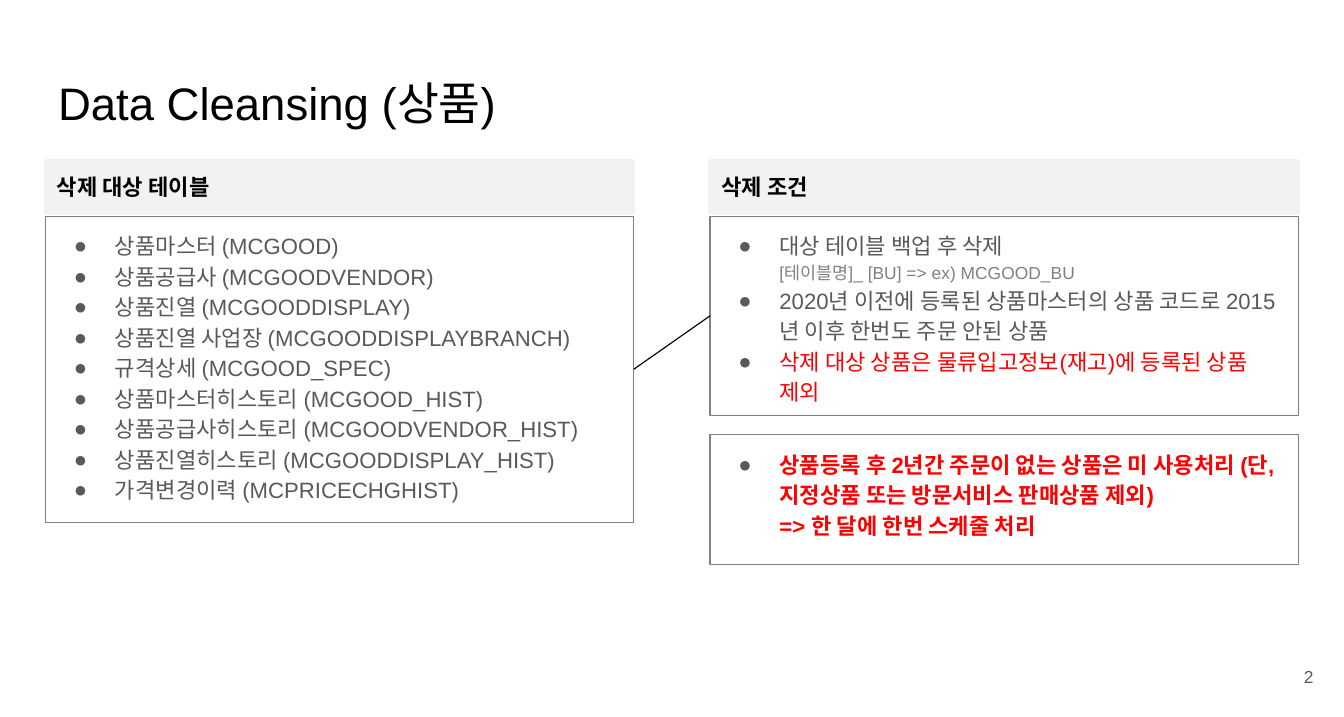
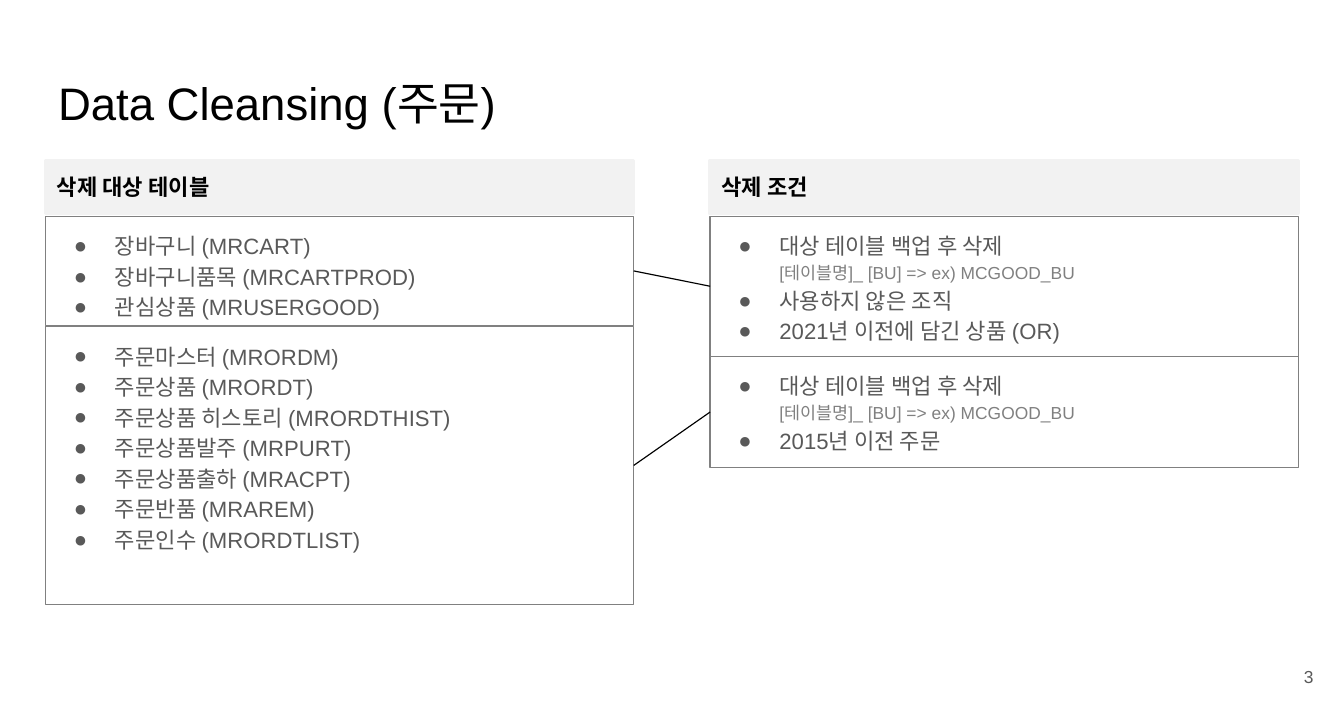
from lxml.etree import SubElement
from pptx import Presentation
from pptx.dml.color import RGBColor
from pptx.enum.shapes import MSO_CONNECTOR, MSO_SHAPE
from pptx.enum.text import MSO_ANCHOR, MSO_AUTO_SIZE, PP_ALIGN
from pptx.oxml.ns import qn
from pptx.util import Pt

FONT = "Arial"
BLACK, GRAY, NOTE_GRAY, RED = "000000", "595959", "808080", "FF0000"
BAND_FILL, BOX_LINE = "F2F2F2", "808080"
COLUMN_LEFTS = (28.8, 449.3)
COLUMN_WIDTH = 372.2
BAND_TOP, BAND_HEIGHT = 101.5, 33.8
BOX_TOP = 136.8
INSET = 7.9
HEADINGS = ("삭제 대상 테이블", "삭제 조건")

BACKUP_RULE = "대상 테이블 백업 후 삭제\v[테이블명]_ [BU] => ex) MCGOOD_BU"
STOCK_RULE = "삭제 대상 상품은 물류입고정보(재고)에 등록된 상품 제외"
UNUSED_RULE = ("상품등록 후 2년간 주문이 없는 상품은 미 사용처리 "
               "(단, 지정상품 또는 방문서비스 판매상품 제외)\v=> 한 달에 한번 스케줄 처리")
RED_RULES = (STOCK_RULE, UNUSED_RULE)

# Each slide: title, number, then per column the boxes as (top, height, items).
# Boxes at the same place in both columns are joined by a line.
SLIDES = [
    ("Data Cleansing (상품)", 2, (
        [(BOX_TOP, 193.7, [
            "상품마스터 (MCGOOD)",
            "상품공급사 (MCGOODVENDOR)",
            "상품진열 (MCGOODDISPLAY)",
            "상품진열 사업장 (MCGOODDISPLAYBRANCH)",
            "규격상세 (MCGOOD_SPEC)",
            "상품마스터히스토리 (MCGOOD_HIST)",
            "상품공급사히스토리 (MCGOODVENDOR_HIST)",
            "상품진열히스토리 (MCGOODDISPLAY_HIST)",
            "가격변경이력 (MCPRICECHGHIST)"])],
        [(BOX_TOP, 126, [
            BACKUP_RULE,
            "2020년 이전에 등록된 상품마스터의 상품 코드로 2015년 이후 한번도 주문 안된 상품",
            STOCK_RULE]),
         (275, 82, [UNUSED_RULE])])),
    ("Data Cleansing (주문)", 3, (
        [(BOX_TOP, 69.2, [
            "장바구니 (MRCART)",
            "장바구니품목 (MRCARTPROD)",
            "관심상품 (MRUSERGOOD)"]),
         (206.6, 175.7, [
             "주문마스터 (MRORDM)",
             "주문상품 (MRORDT)",
             "주문상품 히스토리 (MRORDTHIST)",
             "주문상품발주 (MRPURT)",
             "주문상품출하 (MRACPT)",
             "주문반품 (MRAREM)",
             "주문인수 (MRORDTLIST)"])],
        [(BOX_TOP, 88.6, [
            BACKUP_RULE,
            "사용하지 않은 조직",
            "2021년 이전에 담긴 상품 (OR)"]),
         (225.4, 70.6, [BACKUP_RULE, "2015년 이전 주문"])])),
]


def rgb(color):
    return RGBColor.from_string(color)


def format_text(shape, size, color, bold=False, inset=INSET,
                anchor=MSO_ANCHOR.TOP, alignment=PP_ALIGN.LEFT):
    """Set the frame's margins and anchor, and style every run in it."""
    frame = shape.text_frame
    frame.word_wrap = True
    frame.auto_size = MSO_AUTO_SIZE.NONE
    frame.vertical_anchor = anchor
    frame.margin_left = frame.margin_right = Pt(inset)
    frame.margin_top = frame.margin_bottom = Pt(min(inset, INSET))
    for paragraph in frame.paragraphs:
        paragraph.alignment = alignment
        for run in paragraph.runs:
            run.font.name = FONT
            run.font.size = Pt(size)
            run.font.bold = bold
            run.font.color.rgb = rgb(color)


presentation = Presentation()
presentation.slide_width = Pt(850.4)
presentation.slide_height = Pt(453.6)

for title_text, number, columns in SLIDES:
    slide = presentation.slides.add_slide(presentation.slide_layouts[5])

    title = slide.shapes.title
    title.left, title.top, title.width, title.height = Pt(28.8), Pt(39.6), Pt(792.7), Pt(50.4)
    title.text_frame.text = title_text
    format_text(title, 28.8, BLACK)

    number_box = slide.shapes.add_textbox(Pt(788), Pt(410.5), Pt(51), Pt(34.6))
    number_box.text_frame.text = str(number)
    format_text(number_box, 11, GRAY, anchor=MSO_ANCHOR.MIDDLE, alignment=PP_ALIGN.RIGHT)

    column_shapes = []
    for left, heading, boxes in zip(COLUMN_LEFTS, HEADINGS, columns):
        band = slide.shapes.add_shape(MSO_SHAPE.RECTANGLE, Pt(left), Pt(BAND_TOP),
                                      Pt(COLUMN_WIDTH), Pt(BAND_HEIGHT))
        band.shadow.inherit = False
        band.fill.solid()
        band.fill.fore_color.rgb = rgb(BAND_FILL)
        band.line.color.rgb = rgb(BAND_FILL)
        band.line.width = Pt(2)
        band.text_frame.text = heading
        format_text(band, 14, BLACK, bold=True, inset=7.2, anchor=MSO_ANCHOR.MIDDLE)

        box_shapes = []
        for top, height, items in boxes:
            box = slide.shapes.add_shape(MSO_SHAPE.RECTANGLE, Pt(left), Pt(top),
                                         Pt(COLUMN_WIDTH), Pt(height))
            box.shadow.inherit = False
            box.fill.background()
            box.line.color.rgb = rgb(BOX_LINE)
            box.line.width = Pt(0.75)
            box.text_frame.text = "\n".join(items)
            # A line break inside an item must not split it into two paragraphs.
            for paragraph, item in zip(box.text_frame.paragraphs, items):
                paragraph.text = item
            format_text(box, 14, GRAY)

            for paragraph, item in zip(box.text_frame.paragraphs, items):
                paragraph.line_spacing = 1.15
                properties = paragraph._p.get_or_add_pPr()
                properties.set("marL", str(Pt(36)))
                properties.set("indent", str(Pt(-25.9)))
                bullet_color = SubElement(properties, qn("a:buClr"))
                SubElement(bullet_color, qn("a:srgbClr"), val=GRAY)
                SubElement(properties, qn("a:buFont"), typeface=FONT)
                SubElement(properties, qn("a:buChar"), char="●")
                for line_break in paragraph._p.findall(qn("a:br")):
                    SubElement(line_break, qn("a:rPr"), sz="1400")
                for run in paragraph.runs:
                    if item in RED_RULES:
                        run.font.color.rgb = rgb(RED)
                        run.font.bold = item == UNUSED_RULE
                    elif run.text.startswith("["):
                        run.font.size = Pt(11)
                        run.font.color.rgb = rgb(NOTE_GRAY)
            box_shapes.append(box)
        column_shapes.append(box_shapes)

    for table_box, rule_box in zip(*column_shapes):
        link = slide.shapes.add_connector(MSO_CONNECTOR.STRAIGHT, 0, 0, 0, 0)
        link.begin_connect(table_box, 3)
        link.end_connect(rule_box, 1)
        link.line.color.rgb = rgb(BLACK)
        link.line.width = Pt(0.75)
        SubElement(link._element.spPr, qn("a:effectLst"))

presentation.save("out.pptx")
